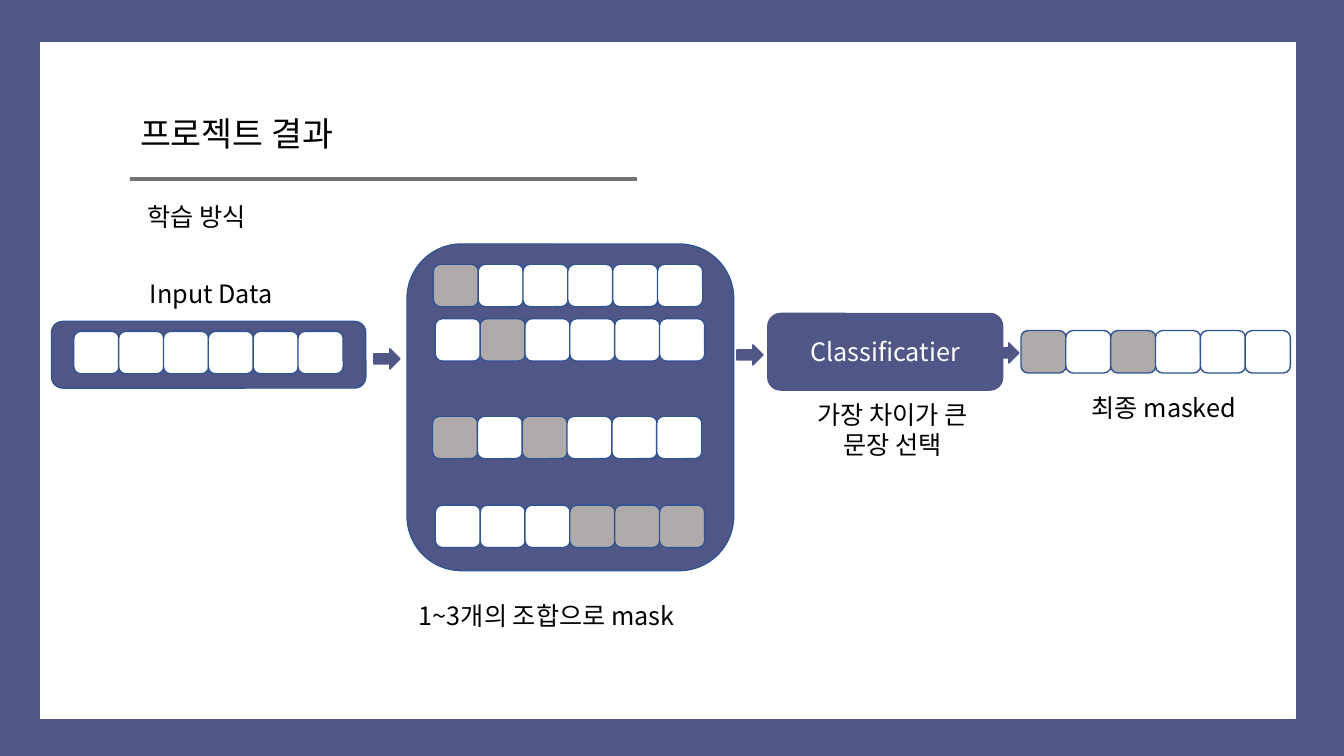
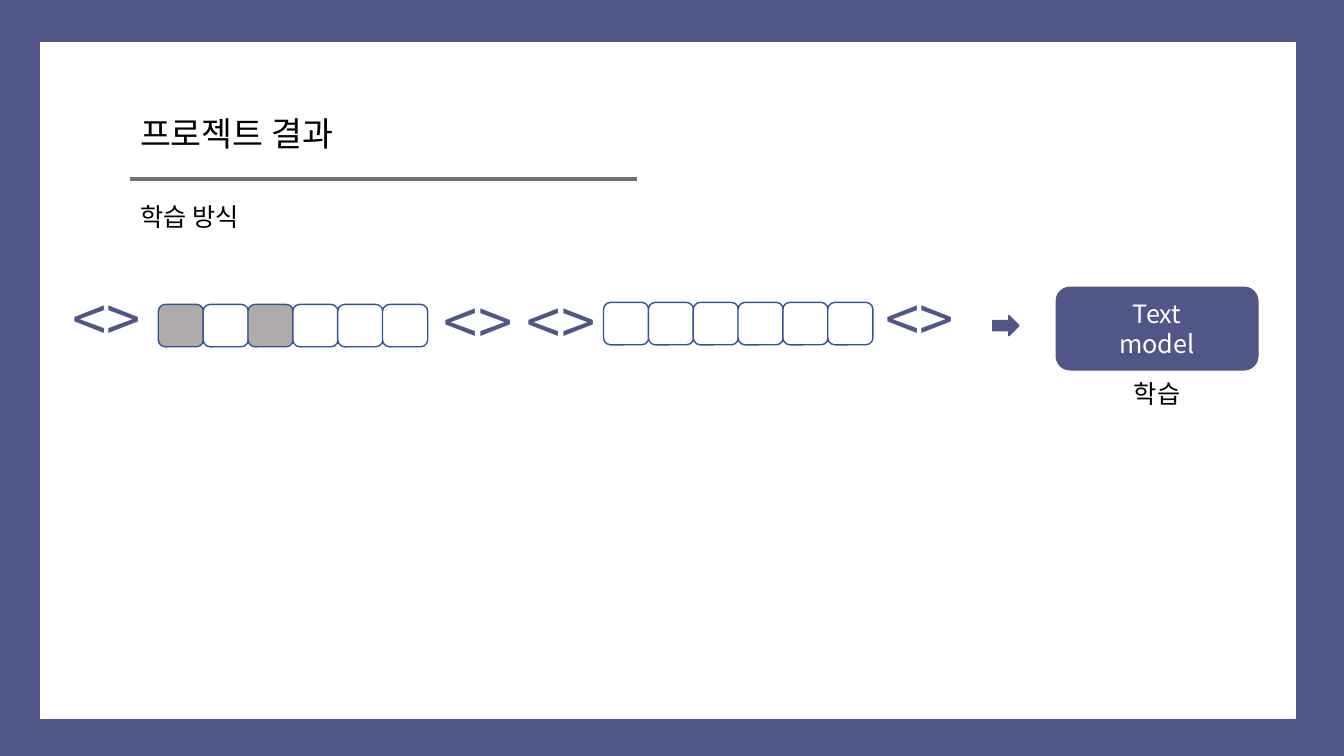
from pptx import Presentation
from pptx.dml.color import RGBColor
from pptx.enum.shapes import MSO_CONNECTOR, MSO_SHAPE as Shape
from pptx.enum.text import MSO_ANCHOR as Anchor, PP_ALIGN as Align
from pptx.oxml.ns import qn
from pptx.util import Cm, Pt
from lxml.etree import SubElement

INDIGO = RGBColor(0x50, 0x57, 0x86)
EDGE = RGBColor(0x32, 0x54, 0x91)
MASK = RGBColor(0xAF, 0xAB, 0xAB)
RULE = RGBColor(0x76, 0x71, 0x71)
WHITE = RGBColor(0xFF, 0xFF, 0xFF)
BLACK = RGBColor(0x00, 0x00, 0x00)

SLIDE_W, SLIDE_H = 33.87, 19.05
CELL_COUNT, CELL_STEP, CELL_W, CELL_H = 6, 1.13, 1.14, 1.07
LATIN, KOREAN = "Calibri", "Noto Sans CJK KR"
HEADING = {"name": LATIN, "size": Pt(24)}
SUBHEADING = {"name": LATIN, "size": Pt(18)}
LABEL = {"name": KOREAN, "size": Pt(18)}
TOKEN = {"name": KOREAN, "size": Pt(44)}


def write(frame, lines, style, color=BLACK, align=Align.CENTER):
    """Fill a text frame with one styled paragraph per line."""
    frame.word_wrap = True
    for index, line in enumerate(lines):
        paragraph = frame.add_paragraph() if index else frame.paragraphs[0]
        paragraph.alignment = align
        run = paragraph.add_run()
        run.text = line
        for attribute, value in style.items():
            setattr(run.font, attribute, value)
        run.font.color.rgb = color
        SubElement(run.font._element, qn("a:ea"), typeface=KOREAN)


def add_text(slide, left, top, width, height, lines, style, **options):
    """Add a text box with wrapped text."""
    box = slide.shapes.add_textbox(Cm(left), Cm(top), Cm(width), Cm(height))
    write(box.text_frame, lines, style, **options)


def add_block(slide, kind, left, top, width, height, fill, line):
    """Add a flat preset shape with a thin outline."""
    block = slide.shapes.add_shape(kind, Cm(left), Cm(top), Cm(width), Cm(height))
    block.shadow.inherit = False
    block.fill.solid()
    block.fill.fore_color.rgb = fill
    block.line.color.rgb = line
    block.line.width = Pt(1)
    return block


def add_cells(slide, left, top, masked=()):
    """Draw one sentence as a row of cells, with masked ones in grey."""
    for index in range(CELL_COUNT):
        add_block(slide, Shape.ROUNDED_RECTANGLE, left + index * CELL_STEP, top,
                  CELL_W, CELL_H, MASK if index in masked else WHITE, EDGE)


def add_arrow(slide, left, top):
    """Draw a small step arrow."""
    add_block(slide, Shape.RIGHT_ARROW, left, top, 0.66, 0.51, INDIGO, INDIGO)


def new_slide(deck, subheading_left):
    """Add a framed slide with its heading, rule and subheading."""
    slide = deck.slides.add_slide(deck.slide_layouts[6])
    add_block(slide, Shape.RECTANGLE, 0, 0, SLIDE_W, SLIDE_H, INDIGO, INDIGO).line.fill.background()
    add_block(slide, Shape.RECTANGLE, 1.02, 1.07, 31.62, 17.04, WHITE, WHITE)
    add_text(slide, 3.28, 2.72, 12.78, 1.27, ["프로젝트 결과"], HEADING, align=Align.LEFT)
    rule = slide.shapes.add_connector(MSO_CONNECTOR.STRAIGHT, Cm(3.28), Cm(4.52), Cm(16.05), Cm(4.52))
    rule.line.color.rgb = RULE
    rule.line.width = Pt(3)
    SubElement(rule._element.spPr, qn("a:effectLst"))
    add_text(slide, subheading_left, 4.95, 12.78, 1.02, ["학습 방식"], SUBHEADING, align=Align.LEFT)
    return slide


def add_input(slide, left, top):
    """Draw the input sentence with its label above."""
    add_block(slide, Shape.ROUNDED_RECTANGLE, left, top, 7.92, 1.68, INDIGO, EDGE)
    add_cells(slide, left + 0.56, top + 0.25)
    add_text(slide, left + 1.6, top - 1.22, 4.85, 1.02, ["Input Data"], LABEL)


def add_combinations(slide, left, top):
    """Draw the panel of mask combinations with its caption below."""
    add_block(slide, Shape.ROUNDED_RECTANGLE, left, top, 8.23, 8.23, INDIGO, EDGE)
    rows = ((0.66, 0.51, {0}), (0.71, 1.88, {1}), (0.64, 4.34, {0, 2}), (0.71, 6.58, {3, 4, 5}))
    for dx, dy, masked in rows:
        add_cells(slide, left + dx, top + dy, masked)
    add_text(slide, left + 0.05, top + 8.86, 8.36, 1.02, ["1~3개의 조합으로 mask"], LABEL,
             align=Align.LEFT)


def add_model(slide, left, top, width, height, name, caption, caption_shift=0):
    """Draw a model box with its name inside and a caption below."""
    model = add_block(slide, Shape.ROUNDED_RECTANGLE, left, top, width, height, INDIGO, INDIGO)
    model.text_frame.vertical_anchor = Anchor.MIDDLE
    write(model.text_frame, name, LABEL, color=WHITE)
    add_text(slide, left + caption_shift, top + height + 0.1, width, 0.9 * len(caption) + 0.12,
             caption, LABEL)


def add_result(slide, left, top):
    """Draw the chosen masked sentence with its caption."""
    add_cells(slide, left, top, {0, 2})
    add_text(slide, left - 0.58, top + 1.42, 8.36, 1.02, ["최종 masked"], LABEL)


def add_sentence(slide, left, top, masked, tokens):
    """Draw a sentence between its start and end tokens."""
    add_cells(slide, left, top, masked)
    for dx, dy in tokens:
        add_text(slide, left + dx, top + dy, 3.18, 2.13, ["<>"], TOKEN, color=INDIGO)


def masking_slide(deck):
    """Show how the most different masked sentence is chosen."""
    slide = new_slide(deck, 3.46)
    add_input(slide, 1.3, 8.1)
    add_combinations(slide, 10.26, 6.15)
    add_model(slide, 19.35, 7.9, 5.92, 1.93, ["Classificatier"],
              ["가장 차이가 큰", "문장 선택"], 0.18)
    add_result(slide, 25.73, 8.33)
    for left, top in ((9.42, 8.79), (18.57, 8.69), (25.02, 8.64)):
        add_arrow(slide, left, top)


def training_slide(deck):
    """Show the sentence pair that trains the model."""
    slide = new_slide(deck, 3.28)
    add_sentence(slide, 3.99, 7.67, {0, 2}, ((-2.9, -0.71), (6.47, -0.63)))
    add_sentence(slide, 15.21, 7.62, (), ((-2.66, -0.58), (6.38, -0.66)))
    add_arrow(slide, 25.02, 7.95)
    add_model(slide, 26.62, 7.24, 5.08, 2.08, ["Text", "model"], ["학습"])


def main():
    """Build the deck."""
    deck = Presentation()
    deck.slide_width, deck.slide_height = Cm(SLIDE_W), Cm(SLIDE_H)
    masking_slide(deck)
    training_slide(deck)
    deck.save("out.pptx")


if __name__ == "__main__":
    main()
